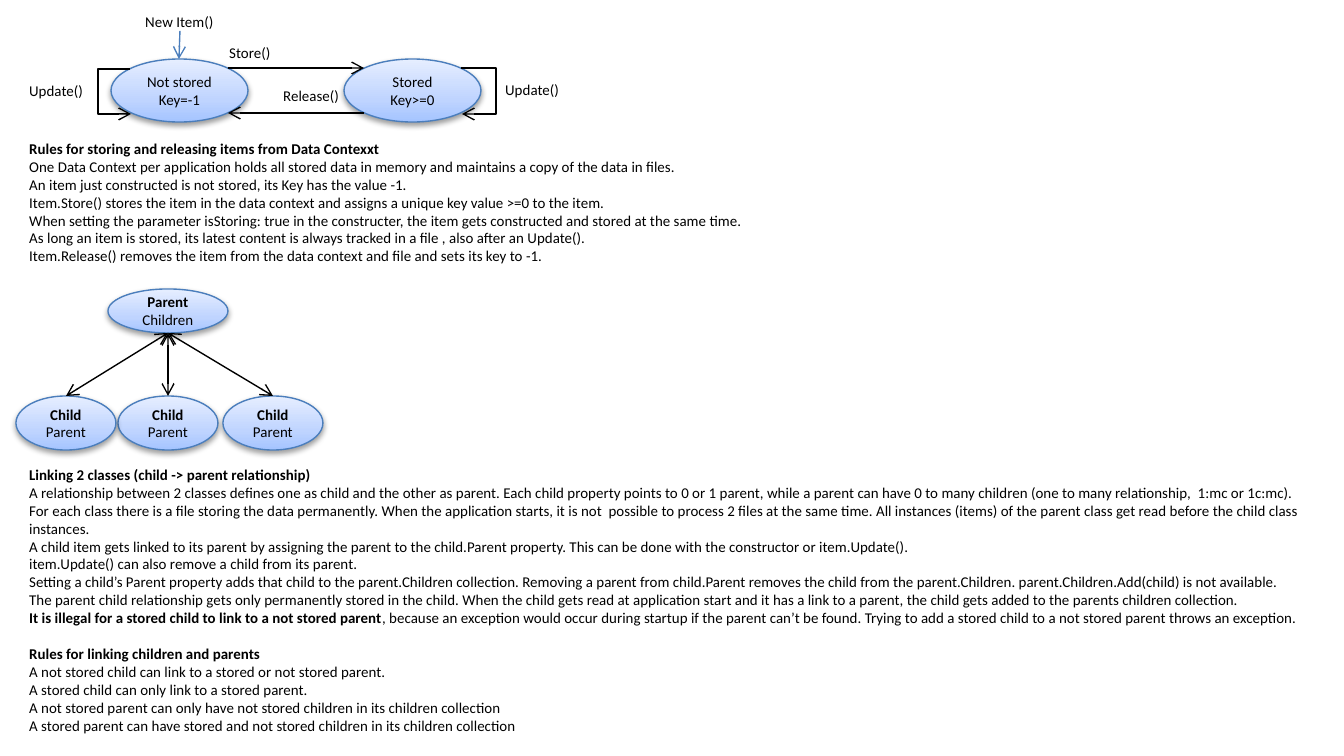
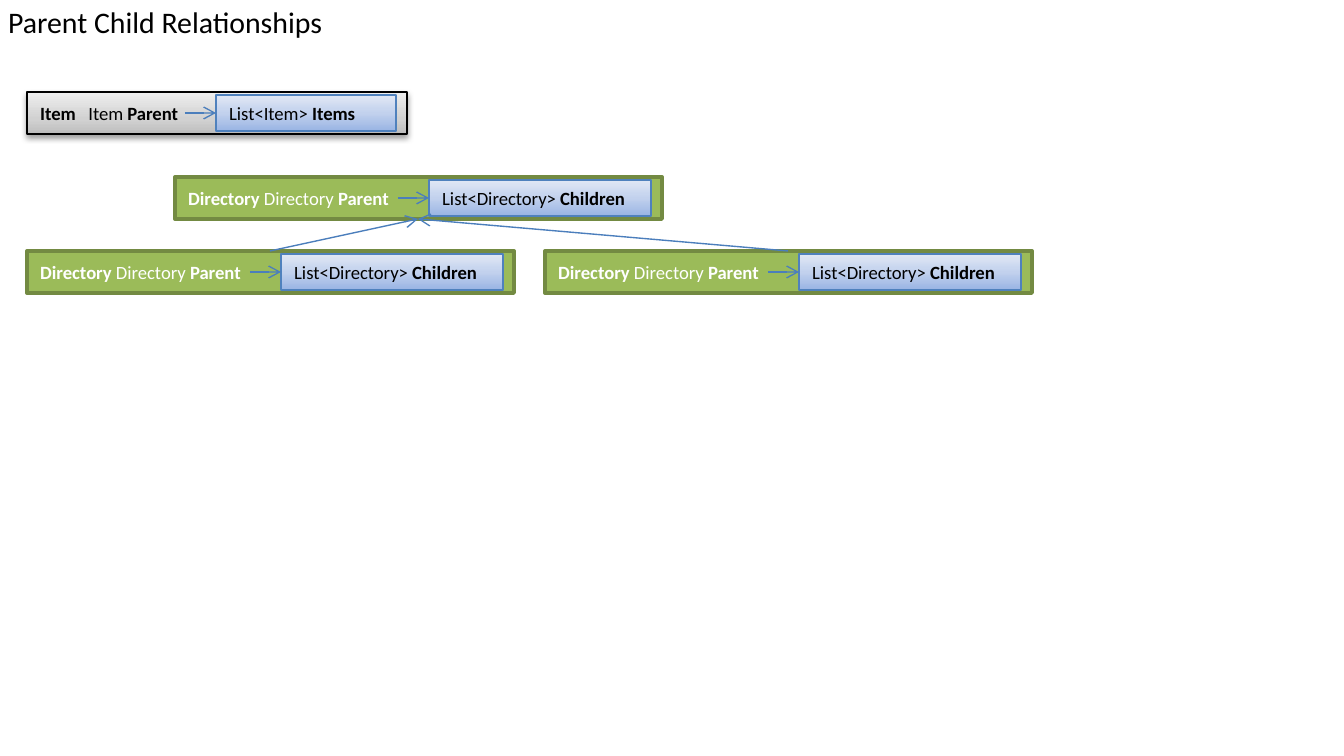
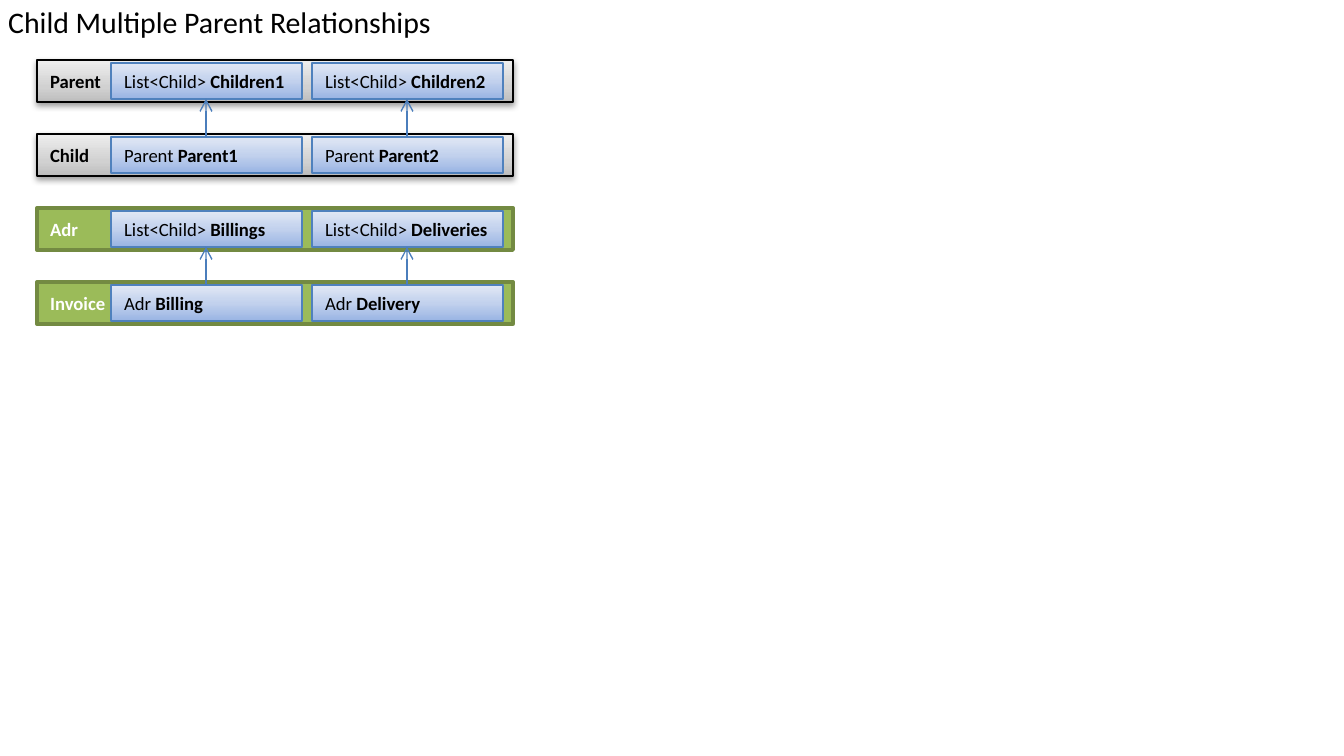
from dataclasses import dataclass

from lxml import etree
from pptx import Presentation
from pptx import util as u
from pptx.dml.color import RGBColor
from pptx.enum import shapes, text
from pptx.oxml.ns import qn

SCALE = 914400 / 134.4


@dataclass(frozen=True)
class Look:
    fill: tuple
    line: str
    line_width: float = 0.75
    text_color: str = "000000"
    shadow: bool = False


@dataclass(frozen=True)
class Theme:
    font: str = "Calibri"
    black: str = "000000"
    arrow: str = "4B7EBC"
    small: int = 8
    label: int = 10
    title: int = 16
    blank_line: float = 9.75
    state: Look = Look(((0, "A4C4FF"), (35, "BFD4FF"), (100, "E6EEFF")), "4B7EBC", shadow=True)
    base_class: Look = Look(((0, "BDBDBD"), (35, "D1D1D1"), (100, "EEEEEE")), "000000", shadow=True)
    user_class: Look = Look(((0, "9BBB59"),), "738A42", 2, "FFFFFF")
    field: Look = Look(((0, "9AB5E4"), (50, "C2D1ED"), (100, "E1E8F5")), "4F81BD")


@dataclass(frozen=True)
class Frame:
    left: int
    top: int
    width: int
    height: int

    @property
    def top_center(self) -> tuple:
        return self.left + self.width // 2, self.top

    @property
    def bottom_center(self) -> tuple:
        return self.left + self.width // 2, self.top + self.height

    def emu(self) -> list:
        return [px(n) for n in (self.left, self.top, self.width, self.height)]


@dataclass(frozen=True)
class Run:
    text: str
    bold: bool = False
    spacing: float = 0


@dataclass(frozen=True)
class Line:
    runs: tuple
    space_before: float = 0


THEME = Theme()
ROW_HEIGHT = 42
FIELD_HEIGHT = 36
FIELD_INSET = 3


def px(length: float) -> u.Emu:
    return u.Emu(round(length * SCALE))


def plain(content: str) -> Line:
    return Line((Run(content),))


def heading(content: str, space_before: float = 0) -> Line:
    return Line((Run(content, True),), space_before)


def named(kind: str, name: str) -> Line:
    return Line((Run(kind + " "), Run(name, True)))


def write(text_frame, lines: list, *, size: int, color: str = THEME.black,
          align=text.PP_ALIGN.LEFT, wrap: bool = True) -> None:
    text_frame.word_wrap = wrap
    for index, line in enumerate(lines):
        paragraph = text_frame.add_paragraph() if index else text_frame.paragraphs[0]
        paragraph.alignment = align
        paragraph.space_before = u.Pt(line.space_before)
        for part in line.runs:
            run = paragraph.add_run()
            run.text = part.text
            run.font.name = THEME.font
            run.font.size = u.Pt(size)
            run.font.bold = part.bold
            run.font.color.rgb = RGBColor.from_string(color)
            if part.spacing:
                run.font._element.set("spc", str(round(part.spacing * 100)))


def add_text(slide, frame: Frame, lines: list, *, size: int = THEME.small, wrap: bool = True) -> None:
    write(slide.shapes.add_textbox(*frame.emu()).text_frame, lines, size=size, wrap=wrap)


def apply_look(shape, look: Look) -> None:
    properties = shape.element.spPr
    if len(look.fill) == 1:
        shape.fill.solid()
        shape.fill.fore_color.rgb = RGBColor.from_string(look.fill[0][1])
    else:
        shape.fill.gradient()
        shape.fill.gradient_angle = 90
        stops = properties.find(qn("a:gradFill")).find(qn("a:gsLst"))
        for stop in list(stops):
            stops.remove(stop)
        for position, color in look.fill:
            stop = etree.SubElement(stops, qn("a:gs"), pos=str(position * 1000))
            etree.SubElement(stop, qn("a:srgbClr"), val=color)
    shape.line.color.rgb = RGBColor.from_string(look.line)
    shape.line.width = u.Pt(look.line_width)
    shape.shadow.inherit = False
    if look.shadow:
        shadow = etree.SubElement(properties.find(qn("a:effectLst")), qn("a:outerShdw"),
                                  blurRad="40000", dist="20000", dir="5400000", rotWithShape="0")
        color = etree.SubElement(shadow, qn("a:srgbClr"), val=THEME.black)
        etree.SubElement(color, qn("a:alpha"), val="38000")


def add_state(slide, frame: Frame, lines: list) -> None:
    shape = slide.shapes.add_shape(shapes.MSO_SHAPE.OVAL, *frame.emu())
    apply_look(shape, THEME.state)
    write(shape.text_frame, lines, size=THEME.small, align=text.PP_ALIGN.CENTER)


def add_box(slide, frame: Frame, line: Line, look: Look) -> None:
    shape = slide.shapes.add_shape(shapes.MSO_SHAPE.RECTANGLE, *frame.emu())
    apply_look(shape, look)
    write(shape.text_frame, [line], size=THEME.label, color=look.text_color)


def add_arrow(slide, start: tuple, end: tuple, *, color: str = THEME.arrow,
              both_ends: bool = False, bend: int = 0) -> None:
    kind = shapes.MSO_CONNECTOR.ELBOW if bend else shapes.MSO_CONNECTOR.STRAIGHT
    connector = slide.shapes.add_connector(kind, *(px(n) for n in start + end))
    connector.line.color.rgb = RGBColor.from_string(color)
    connector.line.width = u.Pt(0.75)
    properties = connector._element.spPr
    outline = properties.find(qn("a:ln"))
    if both_ends:
        etree.SubElement(outline, qn("a:headEnd"), type="arrow")
    etree.SubElement(outline, qn("a:tailEnd"), type="arrow")
    etree.SubElement(properties, qn("a:effectLst"))
    if bend:
        ratio = round(bend / (end[0] - start[0]) * 100000)
        geometry = properties.find(qn("a:prstGeom"))
        adjustments = geometry.find(qn("a:avLst"))
        etree.SubElement(adjustments, qn("a:gd"), name="adj1", fmla=f"val {ratio}")


def add_title(slide, content: str, width: int) -> None:
    add_text(slide, Frame(-5, -3, width, 50), [plain(content)], size=THEME.title, wrap=False)


def add_state_diagram(slide) -> None:
    stored = Frame(344, 59, 137, 63)
    not_stored = Frame(111, 59, 137, 63)
    add_state(slide, stored, [plain("Stored"), plain("Key>=0")])
    add_state(slide, not_stored, [plain("Not stored"), plain("Key=-1")])
    add_arrow(slide, (228, 68), (364, 68), color=THEME.black)
    add_arrow(slide, (364, 113), (228, 113), color=THEME.black)
    add_arrow(slide, (461, 68), (462, 114), color=THEME.black, bend=35)
    add_arrow(slide, (130, 69), (131, 114), color=THEME.black, bend=-32)
    add_arrow(slide, (180, 31), not_stored.top_center)
    for content, left, top, width in (
        ("Store()", 216, 37, 69), ("Release()", 270, 80, 83), ("Update()", 492, 74, 82),
        ("Update()", 16, 75, 82), ("New Item()", 132, 6, 95),
    ):
        add_text(slide, Frame(left, top, width, 32), [plain(content)], wrap=False)


def add_family_diagram(slide) -> None:
    parent = Frame(108, 289, 120, 44)
    add_state(slide, parent, [heading("Parent"), plain("Children")])
    for left in (118, 16, 223):
        child = Frame(left, 396, 100, 54)
        add_state(slide, child, [heading("Child"), plain("Parent")])
        add_arrow(slide, child.top_center, parent.bottom_center, color=THEME.black, both_ends=True)


def add_linked_class(slide, frame: Frame, label: Line, field: Line, look: Look,
                     offset: int, field_width: int) -> None:
    field_left = frame.left + offset
    arrow_y = frame.top + ROW_HEIGHT // 2
    add_box(slide, frame, label, look)
    add_box(slide, Frame(field_left, frame.top + FIELD_INSET, field_width, FIELD_HEIGHT), field, THEME.field)
    add_arrow(slide, (field_left - 31, arrow_y), (field_left, arrow_y))


def build_rules(slide) -> None:
    add_text(slide, Frame(16, 459, 1302, 286), [
        heading("Linking 2 classes (child -> parent relationship)"),
        plain("A relationship between 2 classes defines one as child and the other as parent. Each child property "
              "points to 0 or 1 parent, while a parent can have 0 to many children (one to many relationship,  "
              "1:mc or 1c:mc)."),
        plain("For each class there is a file storing the data permanently. When the application starts, it is not  "
              "possible to process 2 files at the same time. All instances (items) of the parent class get read "
              "before the child class instances."),
        plain("A child item gets linked to its parent by assigning the parent to the child.Parent property. "
              "This can be done with the constructor or item.Update()."),
        plain("item.Update() can also remove a child from its parent."),
        plain("Setting a child’s Parent property adds that child to the parent.Children collection. Removing a "
              "parent from child.Parent removes the child from the parent.Children. parent.Children.Add(child) "
              "is not available."),
        plain("The parent child relationship gets only permanently stored in the child. When the child gets read at "
              "application start and it has a link to a parent, the child gets added to the parents children "
              "collection."),
        Line((Run("It is illegal for a stored child to link to a not stored parent", True),
              Run(", because an exception would occur during startup if the parent can’t be found. Trying to add "
                  "a stored child to a not stored parent throws an exception."))),
        heading("Rules for linking children and parents", THEME.blank_line),
        plain("A not stored child can link to a stored or not stored parent."),
        plain("A stored child can only link to a stored parent."),
        plain("A not stored parent can only have not stored children in its children collection"),
        plain("A stored parent can have stored and not stored children in its children collection"),
    ])
    add_text(slide, Frame(16, 133, 751, 159), [
        heading("Rules for storing and releasing items from Data Contexxt"),
        plain("One Data Context per application holds all stored data in memory and maintains a copy of the data "
              "in files."),
        plain("An item just constructed is not stored, its Key has the value -1."),
        plain("Item.Store() stores the item in the data context and assigns a unique key value >=0 to the item."),
        plain("When setting the parameter isStoring: true in the constructer, the item gets constructed and stored "
              "at the same time."),
        plain("As long an item is stored, its latest content is always tracked in a file , also after an Update()."),
        plain("Item.Release() removes the item from the data context and file and sets its key to -1."),
    ])
    add_state_diagram(slide)
    add_family_diagram(slide)


def build_parent_child(slide) -> None:
    add_title(slide, "Parent Child Relationships", 345)
    item_label = Line((Run("Item", True), Run(" ", True, 4.5), Run("Item "), Run("Parent", True)))
    add_linked_class(slide, Frame(27, 92, 380, ROW_HEIGHT), item_label, named("List<Item>", "Items"),
                     THEME.base_class, 189, 180)
    directory_label = Line((Run("Directory ", True), Run("Directory "), Run("Parent", True)))
    root, *branches = [Frame(left, top, 487, ROW_HEIGHT) for left, top in ((175, 177), (27, 251), (545, 251))]
    for frame in (root, *branches):
        add_linked_class(slide, frame, directory_label, named("List<Directory>", "Children"),
                         THEME.user_class, 254, 222)
    for branch in branches:
        add_arrow(slide, branch.top_center, root.bottom_center)


def build_multiple_parents(slide) -> None:
    add_title(slide, "Child Multiple Parent Relationships", 454)
    rows = (
        ("Parent", THEME.base_class, "List<Child>", ("Children1", "Children2")),
        ("Child", THEME.base_class, "Parent", ("Parent1", "Parent2")),
        ("Adr", THEME.user_class, "List<Child>", ("Billings", "Deliveries")),
        ("Invoice", THEME.user_class, "Adr", ("Billing", "Delivery")),
    )
    upper_fields = []
    for index, (label, look, kind, names) in enumerate(rows):
        top = 60 + 74 * index
        add_box(slide, Frame(37, top, 476, ROW_HEIGHT), heading(label), look)
        fields = [Frame(left, top + FIELD_INSET, 191, FIELD_HEIGHT) for left in (111, 312)]
        for field, name in zip(fields, names):
            add_box(slide, field, named(kind, name), THEME.field)
        if index % 2:
            for lower, upper in zip(fields, upper_fields):
                add_arrow(slide, lower.top_center, upper.bottom_center)
        upper_fields = fields


def main() -> None:
    presentation = Presentation()
    presentation.slide_width = px(1344)
    presentation.slide_height = px(756)
    for build in (build_rules, build_parent_child, build_multiple_parents):
        build(presentation.slides.add_slide(presentation.slide_layouts[6]))
    presentation.save("out.pptx")


main()
